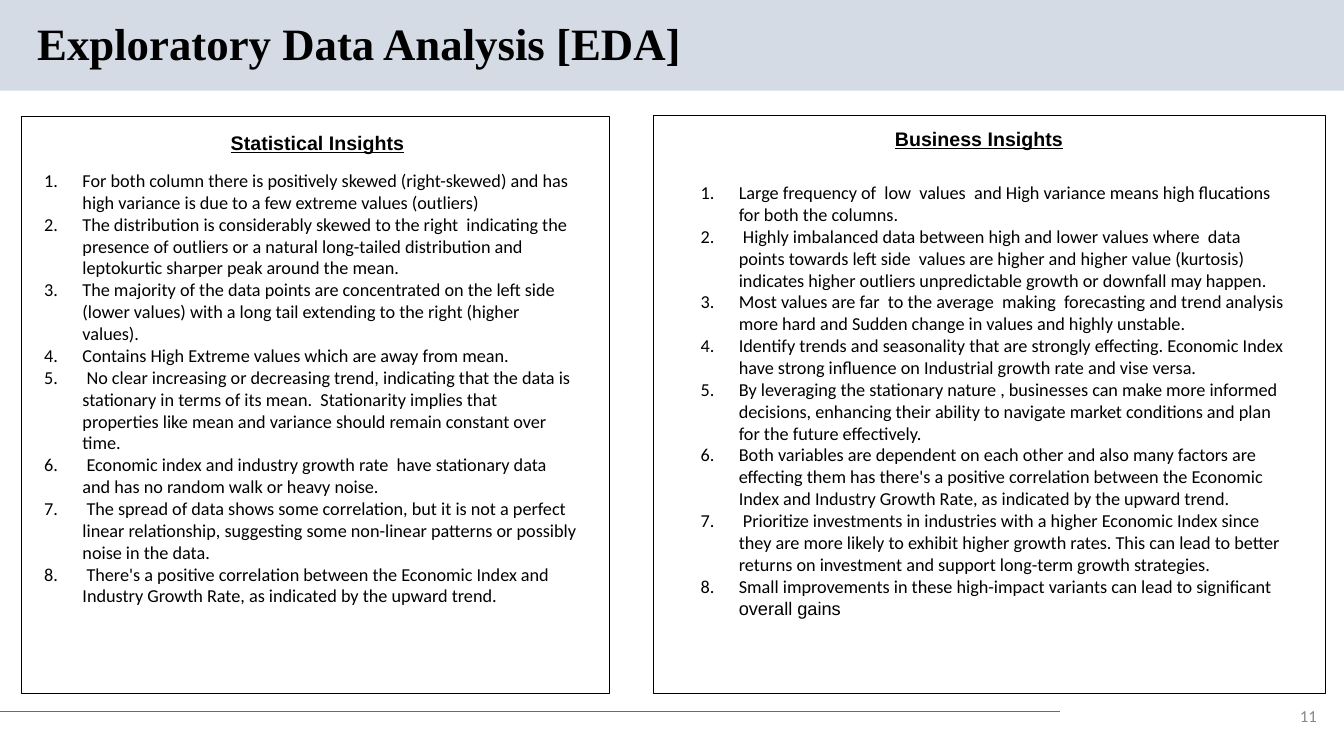
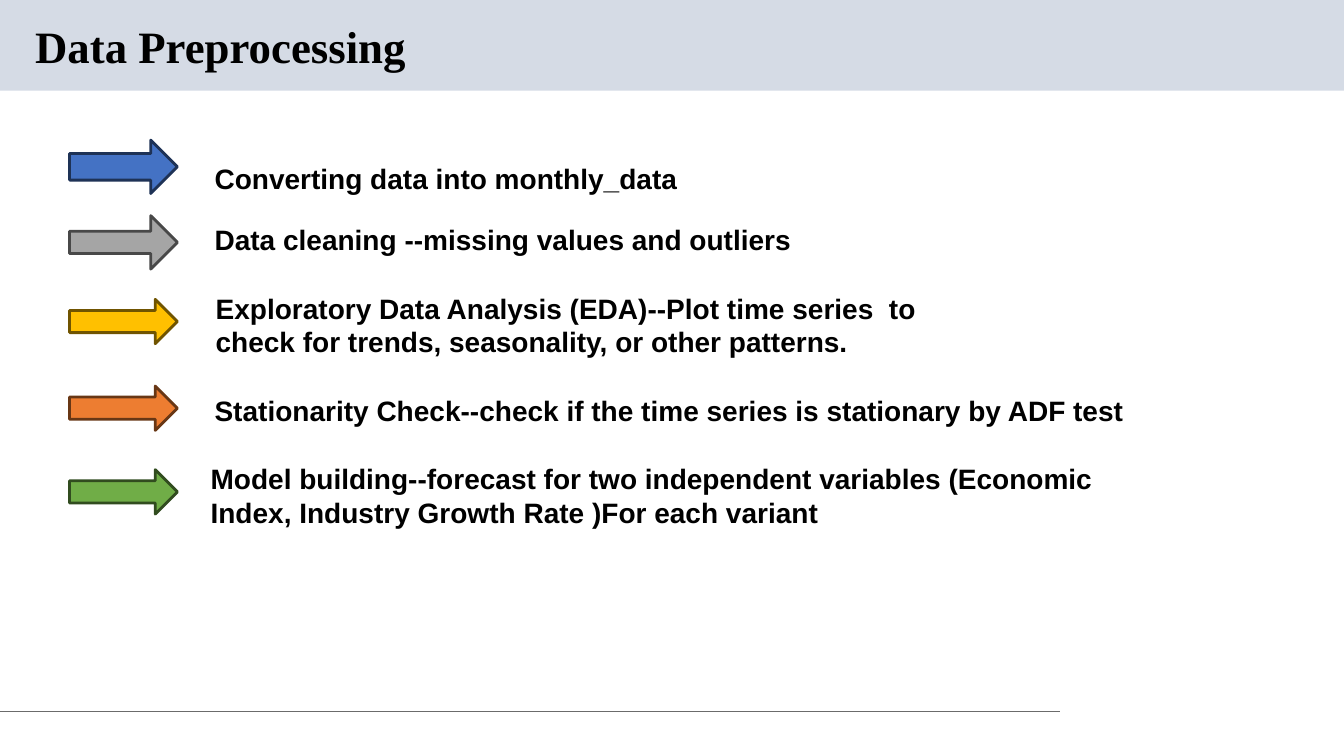
from lxml import etree
from pptx import Presentation
from pptx.dml.color import RGBColor
from pptx.enum.shapes import MSO_CONNECTOR, MSO_SHAPE
from pptx.enum.text import MSO_ANCHOR, PP_ALIGN
from pptx.oxml.ns import qn
from pptx.util import Inches, Pt


class Theme:
    BAND, RULE, TEXT, NUMBER = "D5DBE5", "6B6B6B", "000000", "888888"
    TITLE_FONT, HEADING_FONT, BODY_FONT = "Times New Roman", "Arial", "Calibri"
    TITLE, STEP, HEADING, BODY, NUMBER_SIZE = 32, 20, 14, 13, 12
    THIN, THICK = 0.75, 2
    LIST_INDENT = 0.38


# Content: boxes are left, top, width, height in inches
PANELS = [
    {
        "frame": (0.21, 1.16, 5.84, 5.72),
        "heading": "Statistical Insights",
        "heading_box": (0.21, 1.25, 5.88, 0.25),
        "list_box": (0.34, 1.58, 5.47, 4.93),
        "inset": 0.1,
        "items": [
            "For both column there is positively skewed (right-skewed) and has high variance is due to a few extreme values (outliers)",
            "The distribution is considerably skewed to the right  indicating the presence of outliers or a natural long-tailed distribution and  leptokurtic sharper peak around the mean.",
            "The majority of the data points are concentrated on the left side (lower values) with a long tail extending to the right (higher values).",
            "Contains High Extreme values which are away from mean.",
            " No clear increasing or decreasing trend, indicating that the data is stationary in terms of its mean.  Stationarity implies that properties like mean and variance should remain constant over time.",
            " Economic index and industry growth rate  have stationary data and has no random walk or heavy noise.",
            " The spread of data shows some correlation, but it is not a perfect linear relationship, suggesting some non-linear patterns or possibly noise in the data.",
            " There's a positive correlation between the Economic Index and Industry Growth Rate, as indicated by the upward trend.",
        ],
        "ending": "",
    },
    {
        "frame": (6.48, 1.15, 6.67, 5.73),
        "heading": "Business Insights",
        "heading_box": (6.77, 1.21, 5.88, 0.33),
        "list_box": (6.85, 1.75, 6.03, 4.48),
        "inset": 0.05,
        "items": [
            "Large frequency of  low  values  and High variance means high flucations for both the columns.",
            " Highly imbalanced data between high and lower values where  data points towards left side  values are higher and higher value (kurtosis) indicates higher outliers unpredictable growth or downfall may happen.",
            "Most values are far  to the average  making  forecasting and trend analysis more hard and Sudden change in values and highly unstable.",
            "Identify trends and seasonality that are strongly effecting. Economic Index have strong influence on Industrial growth rate and vise versa.",
            "By leveraging the stationary nature , businesses can make more informed decisions, enhancing their ability to navigate market conditions and plan for the future effectively.",
            "Both variables are dependent on each other and also many factors are effecting them has there's a positive correlation between the Economic Index and Industry Growth Rate, as indicated by the upward trend.",
            " Prioritize investments in industries with a higher Economic Index since they are more likely to exhibit higher growth rates. This can lead to better returns on investment and support long-term growth strategies.",
            "Small improvements in these high-impact variants can lead to significant ",
        ],
        "ending": "overall gains",  # set in the heading font
    },
]

# Step text, text box, arrow top, arrow height, shaft share, fill, outline
STEPS = [
    ("Converting data into monthly_data",
     (2.03, 1.55, 7.52, 0.44), 1.39, 0.53, 0.5, "4472C4", "1E3256"),
    ("Data cleaning --missing values and outliers",
     (2.03, 2.16, 8.16, 0.44), 2.14, 0.53, 0.42, "A5A5A5", "484848"),
    ("Exploratory Data Analysis (EDA)--Plot time series  to check for trends, seasonality, or other patterns.",
     (2.04, 2.84, 7.92, 0.77), 2.97, 0.44, 0.5, "FFC000", "705400"),
    ("Stationarity Check--check if the time series is stationary by ADF test",
     (2.03, 3.85, 9.47, 0.44), 3.83, 0.44, 0.5, "ED7D31", "683715"),
    ("Model building--forecast for two independent variables (Economic Index, Industry Growth Rate )For each variant",
     (1.99, 4.53, 9.35, 0.77), 4.66, 0.44, 0.5, "70AD47", "314C1F"),
]
ARROW_LEFT, ARROW_WIDTH = 0.69, 1.07


# Drawing helpers
def color(value):
    return RGBColor.from_string(value)


def add_box(slide, kind, box, fill=None, line=None, width=Theme.THIN):
    shape = slide.shapes.add_shape(kind, *map(Inches, box))
    shape.shadow.inherit = False
    if fill:
        shape.fill.solid()
        shape.fill.fore_color.rgb = color(fill)
    else:
        shape.fill.background()
    if line:
        shape.line.color.rgb = color(line)
        shape.line.width = Pt(width)
    else:
        shape.line.fill.background()
    return shape


def style(paragraph, size, name, ink=Theme.TEXT, bold=False):
    font = paragraph.font
    font.size, font.name, font.bold = Pt(size), name, bold
    font.color.rgb = color(ink)


def add_frame(slide, box, inset=0.05, anchor=MSO_ANCHOR.TOP):
    frame = slide.shapes.add_textbox(*map(Inches, box)).text_frame
    frame.word_wrap = True
    frame.vertical_anchor = anchor
    frame.margin_left = frame.margin_right = Inches(0.1)
    frame.margin_top = frame.margin_bottom = Inches(inset)
    return frame


def add_line_of_text(slide, text, box, size, name, ink=Theme.TEXT, bold=True,
                     align=PP_ALIGN.LEFT, anchor=MSO_ANCHOR.TOP):
    paragraph = add_frame(slide, box, anchor=anchor).paragraphs[0]
    paragraph.text = text
    paragraph.alignment = align
    style(paragraph, size, name, ink, bold)
    return paragraph


def number_paragraph(paragraph):
    properties = paragraph._p.get_or_add_pPr()
    properties.set("marL", str(Inches(Theme.LIST_INDENT)))
    properties.set("indent", str(-Inches(Theme.LIST_INDENT)))
    etree.SubElement(properties, qn("a:buFont"), typeface="+mj-lt")
    etree.SubElement(properties, qn("a:buAutoNum"), type="arabicPeriod")


def add_numbered_list(slide, panel):
    frame = add_frame(slide, panel["list_box"], panel["inset"])
    for index, item in enumerate(panel["items"]):
        paragraph = frame.add_paragraph() if index else frame.paragraphs[0]
        paragraph.add_run().text = item
        number_paragraph(paragraph)
        style(paragraph, Theme.BODY, Theme.BODY_FONT)
    if panel["ending"]:
        run = paragraph.add_run()
        run.text = panel["ending"]
        run.font.name = Theme.HEADING_FONT


# Shared title band, footer rule and title
def add_slide(presentation, title, title_box):
    slide = presentation.slides.add_slide(presentation.slide_layouts[6])
    add_box(slide, MSO_SHAPE.RECTANGLE, (0, 0, 13.33, 0.9), Theme.BAND)
    rule = slide.shapes.add_connector(
        MSO_CONNECTOR.STRAIGHT, 0, Inches(7.06), Inches(10.51), Inches(7.06))
    rule.line.color.rgb = color(Theme.RULE)
    rule.line.width = Pt(Theme.THIN)
    etree.SubElement(rule._element.spPr, qn("a:effectLst"))
    paragraph = add_line_of_text(slide, title, title_box, Theme.TITLE,
                                 Theme.TITLE_FONT, anchor=MSO_ANCHOR.MIDDLE)
    paragraph.line_spacing = 0.9
    return slide


def build_insights(presentation):
    slide = add_slide(presentation, "Exploratory Data Analysis [EDA]",
                      (0.27, 0.16, 10.11, 0.59))
    for panel in PANELS:
        add_box(slide, MSO_SHAPE.RECTANGLE, panel["frame"], line=Theme.TEXT)
        heading = add_line_of_text(
            slide, panel["heading"], panel["heading_box"], Theme.HEADING,
            Theme.HEADING_FONT, align=PP_ALIGN.CENTER)
        heading.font.underline = True
        add_numbered_list(slide, panel)
    add_line_of_text(slide, "11", (12.73, 6.94, 0.43, 0.32), Theme.NUMBER_SIZE,
                     Theme.BODY_FONT, Theme.NUMBER, False, PP_ALIGN.RIGHT,
                     MSO_ANCHOR.MIDDLE)


def build_preprocessing(presentation):
    slide = add_slide(presentation, "Data Preprocessing",
                      (0.25, 0.19, 11.5, 0.59))
    for text, text_box, top, height, shaft, fill, outline in STEPS:
        arrow = add_box(slide, MSO_SHAPE.RIGHT_ARROW,
                        (ARROW_LEFT, top, ARROW_WIDTH, height),
                        fill, outline, Theme.THICK)
        arrow.adjustments[0] = shaft
        add_line_of_text(slide, text, text_box, Theme.STEP, Theme.HEADING_FONT)


def main():
    presentation = Presentation()
    presentation.slide_width = Inches(13.33)
    presentation.slide_height = Inches(7.5)
    build_insights(presentation)
    build_preprocessing(presentation)
    presentation.save("out.pptx")


if __name__ == "__main__":
    main()
